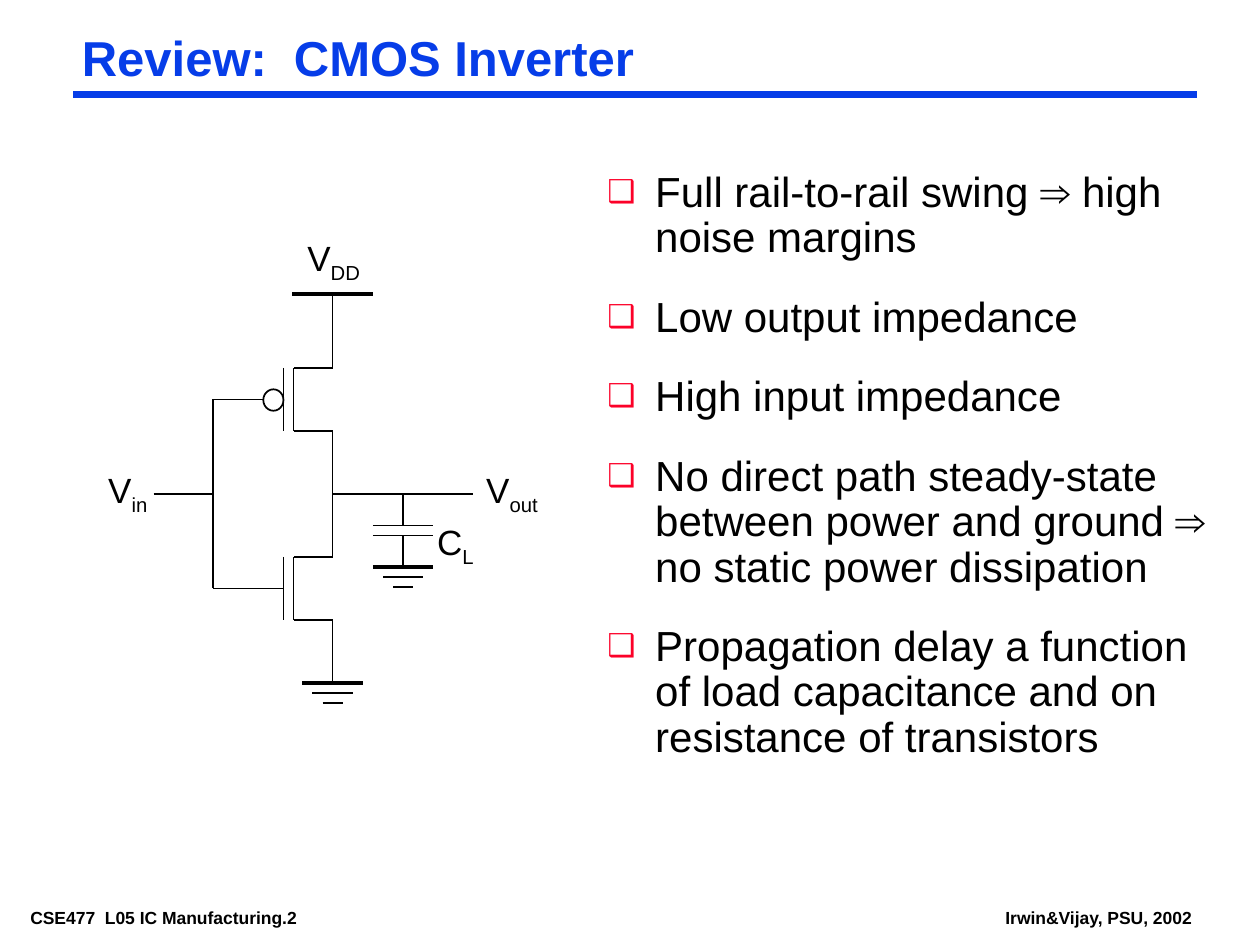
import dataclasses

import lxml.etree
import pptx
import pptx.dml.color
import pptx.enum.shapes
import pptx.enum.text
import pptx.oxml.ns
import pptx.util

Inches = pptx.util.Inches
Pt = pptx.util.Pt
qn = pptx.oxml.ns.qn


@dataclasses.dataclass(frozen=True)
class Theme:
    font: str = "Arial"
    black: str = "000000"
    blue: str = "063DE8"
    red: str = "FC0128"
    title_size: float = 28
    body_size: float = 24
    label_size: float = 20
    footer_size: float = 10
    wire: float = 1
    rail: float = 2.25
    rule: float = 4.5


THEME = Theme()

BULLETS = [
    "Full rail-to-rail swing ⇒ high noise margins",
    "Low output impedance",
    "High input impedance",
    "No direct path steady-state between power and ground ⇒ no static power dissipation",
    "Propagation delay a function of load capacitance and on resistance of transistors",
]

# Circuit columns and rows
INPUT_X, GATE_X, CHANNEL_X, DRAIN_X, LOAD_X = 1.69, 2.25, 2.33, 2.64, 3.2
SUPPLY_Y, PMOS_Y, OUTPUT_Y, NMOS_Y, GROUND_Y = 2.33, 2.92, 3.92, 4.42, 5.42
TRANSISTOR_HEIGHT = 0.5
PLATE_HALF = 0.24


def rgb(value):
    return pptx.dml.color.RGBColor.from_string(value)


def set_attributes(target, values):
    for name, value in values.items():
        setattr(target, name, value)


def format_font(font, size, color=THEME.black, bold=False):
    set_attributes(font, {"name": THEME.font, "size": Pt(size), "bold": bold})
    font.color.rgb = rgb(color)


def format_frame(frame, side, edge, wrap):
    set_attributes(frame, {
        "margin_left": Inches(side), "margin_right": Inches(side),
        "margin_top": Inches(edge), "margin_bottom": Inches(edge),
        "word_wrap": wrap,
        "auto_size": pptx.enum.text.MSO_AUTO_SIZE.SHAPE_TO_FIT_TEXT,
        "vertical_anchor": pptx.enum.text.MSO_ANCHOR.TOP,
    })


def place(shape, left, top, width, height):
    set_attributes(shape, {"left": Inches(left), "top": Inches(top),
                           "width": Inches(width), "height": Inches(height)})


def add_line(shapes, start, end, weight=THEME.wire, color=THEME.black):
    connector = shapes.add_connector(
        pptx.enum.shapes.MSO_CONNECTOR.STRAIGHT,
        *(Inches(value) for value in (*start, *end)))
    connector.line.color.rgb = rgb(color)
    connector.line.width = Pt(weight)
    lxml.etree.SubElement(connector._element.spPr, qn("a:effectLst"))


def add_wires(shapes, *points):
    """Join consecutive points with thin lines."""
    for start, end in zip(points, points[1:]):
        add_line(shapes, start, end)


def add_bar(shapes, center, y, half, weight=THEME.wire):
    add_line(shapes, (center - half, y), (center + half, y), weight)


def add_ground(shapes, center, y):
    add_bar(shapes, center, y, PLATE_HALF, THEME.rail)
    add_bar(shapes, center, y + 0.08, 0.16)
    add_bar(shapes, center, y + 0.16, 0.08)


def add_transistor(shapes, top):
    bottom = top + TRANSISTOR_HEIGHT
    add_wires(shapes, (DRAIN_X, top), (CHANNEL_X, top),
              (CHANNEL_X, bottom), (DRAIN_X, bottom))
    add_line(shapes, (GATE_X, top), (GATE_X, bottom))


def add_gate_bubble(shapes, left, center_y):
    bubble = shapes.add_shape(
        pptx.enum.shapes.MSO_SHAPE.OVAL, Inches(left), Inches(center_y - 0.08),
        Inches(GATE_X - left), Inches(0.17))
    bubble.shadow.inherit = False
    bubble.fill.background()
    bubble.line.color.rgb = rgb(THEME.black)
    bubble.line.width = Pt(THEME.wire)


def add_label(shapes, symbol, subscript, left, top, width):
    box = shapes.add_textbox(Inches(left), Inches(top), Inches(width), Inches(0.48))
    format_frame(box.text_frame, 0.1, 0.05, False)
    paragraph = box.text_frame.paragraphs[0]
    for text, baseline in ((symbol, None), (subscript, "-25000")):
        run = paragraph.add_run()
        run.text = text
        format_font(run.font, THEME.label_size)
        if baseline:
            run._r.get_or_add_rPr().set("baseline", baseline)


def add_inverter(slide):
    shapes = slide.shapes.add_group_shape().shapes
    pmos_gate_y, nmos_gate_y = PMOS_Y + 0.25, NMOS_Y + 0.25
    bubble_x = 2.09

    add_bar(shapes, DRAIN_X, SUPPLY_Y, 0.32, THEME.rail)
    add_line(shapes, (DRAIN_X, SUPPLY_Y), (DRAIN_X, PMOS_Y))
    add_transistor(shapes, PMOS_Y)
    add_line(shapes, (DRAIN_X, PMOS_Y + TRANSISTOR_HEIGHT), (DRAIN_X, NMOS_Y))
    add_transistor(shapes, NMOS_Y)
    add_line(shapes, (DRAIN_X, NMOS_Y + TRANSISTOR_HEIGHT), (DRAIN_X, GROUND_Y))
    add_ground(shapes, DRAIN_X, GROUND_Y)

    add_line(shapes, (1.22, OUTPUT_Y), (INPUT_X, OUTPUT_Y))
    add_wires(shapes, (bubble_x, pmos_gate_y), (INPUT_X, pmos_gate_y),
              (INPUT_X, nmos_gate_y), (GATE_X, nmos_gate_y))
    add_gate_bubble(shapes, bubble_x, pmos_gate_y)

    add_line(shapes, (DRAIN_X, OUTPUT_Y), (3.75, OUTPUT_Y))
    upper_plate, lower_plate, load_ground = 4.17, 4.25, 4.5
    add_line(shapes, (LOAD_X, OUTPUT_Y), (LOAD_X, upper_plate))
    for plate_y in (upper_plate, lower_plate):
        add_bar(shapes, LOAD_X, plate_y, PLATE_HALF)
    add_line(shapes, (LOAD_X, lower_plate), (LOAD_X, load_ground))
    add_ground(shapes, LOAD_X, load_ground)

    for label in (("V", "DD", 2.34, 1.83, 0.62), ("V", "in", 0.76, 3.67, 0.51),
                  ("V", "out", 3.76, 3.67, 0.61), ("C", "L", 3.37, 4.08, 0.49)):
        add_label(shapes, *label)


def fill_title(title, text):
    place(title, 0.58, 0.25, 8.58, 0.46)
    format_frame(title.text_frame, 0.07, 0.03, True)
    title.text_frame.text = text
    paragraph = title.text_frame.paragraphs[0]
    set_attributes(paragraph, {"alignment": pptx.enum.text.PP_ALIGN.LEFT,
                               "line_spacing": 0.87})
    format_font(paragraph.runs[0].font, THEME.title_size, THEME.blue, True)


def add_bullet(paragraph):
    properties = paragraph._p.get_or_add_pPr()
    indent = Inches(0.38)
    properties.set("marL", str(indent))
    properties.set("indent", str(-indent))
    color = lxml.etree.SubElement(properties, qn("a:buClr"))
    lxml.etree.SubElement(color, qn("a:srgbClr"), val=THEME.red)
    lxml.etree.SubElement(properties, qn("a:buSzPct"), val="75000")
    lxml.etree.SubElement(properties, qn("a:buFont"), typeface=THEME.font)
    lxml.etree.SubElement(properties, qn("a:buChar"), char="❑")


def fill_body(body, items):
    place(body, 4.75, 1.33, 5, 4.74)
    format_frame(body.text_frame, 0.07, 0.03, True)
    body.text_frame.text = "\n".join(items)
    for paragraph in body.text_frame.paragraphs:
        set_attributes(paragraph, {"line_spacing": 0.9, "space_before": Pt(19.5)})
        add_bullet(paragraph)
        format_font(paragraph.runs[0].font, THEME.body_size)


def add_footer(slide, text, left, width):
    box = slide.shapes.add_textbox(Inches(left), Inches(7.17), Inches(width), Inches(0.22))
    format_frame(box.text_frame, 0.07, 0.03, False)
    box.text_frame.text = text
    format_font(box.text_frame.paragraphs[0].runs[0].font, THEME.footer_size, bold=True)


def main():
    presentation = pptx.Presentation()
    presentation.slide_width, presentation.slide_height = Inches(10), Inches(7.5)
    slide = presentation.slides.add_slide(presentation.slide_layouts[1])
    fill_title(slide.shapes.title, "Review:  CMOS Inverter")
    fill_body(slide.placeholders[1], BULLETS)
    add_line(slide.shapes, (0.58, 0.75), (9.5, 0.75), THEME.rule, THEME.blue)
    add_inverter(slide)
    add_footer(slide, "CSE477  L05 IC Manufacturing.2", 0.17, 2.85)
    add_footer(slide, "Irwin&Vijay, PSU, 2002", 7.91, 1.63)
    presentation.save("out.pptx")


if __name__ == "__main__":
    main()
